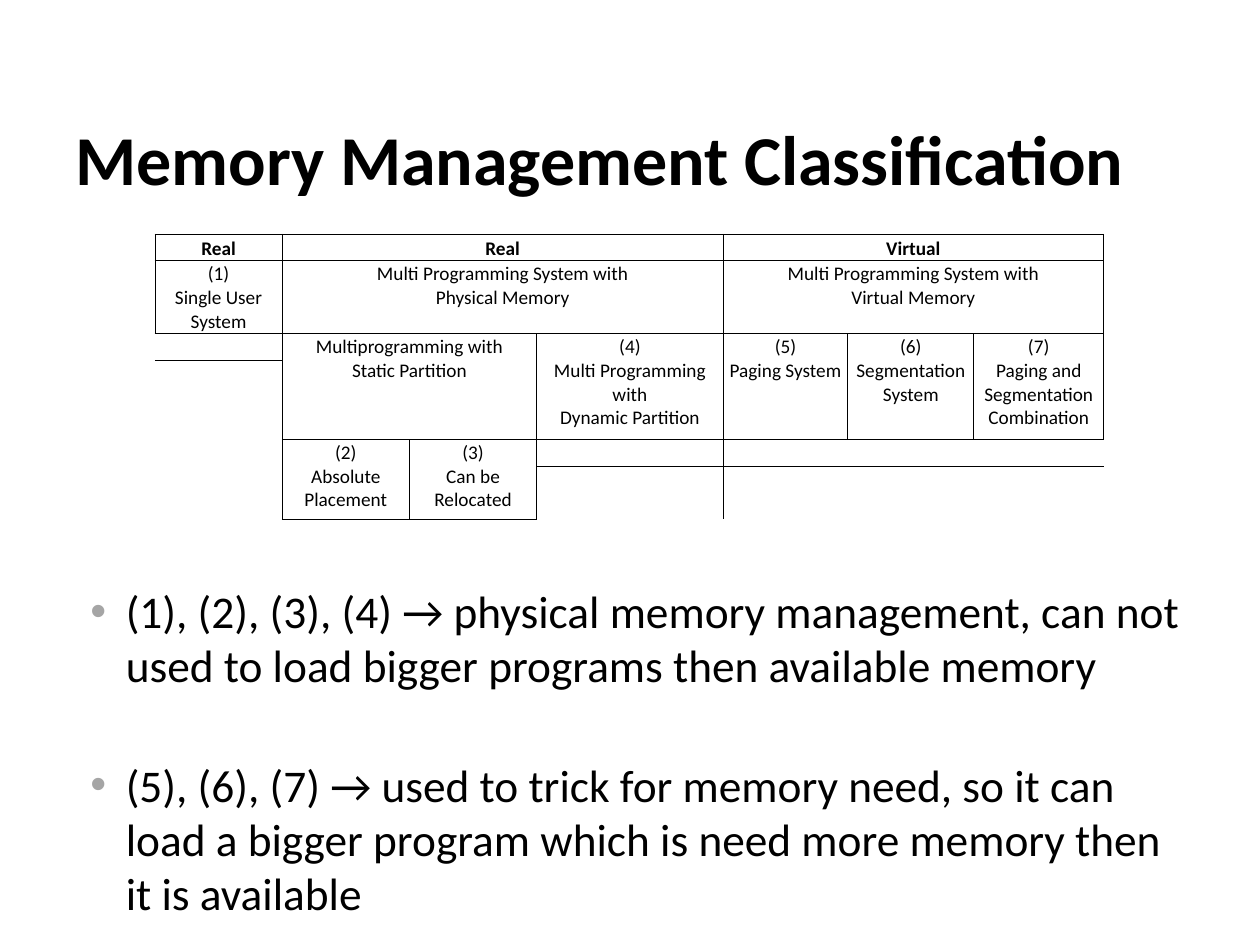
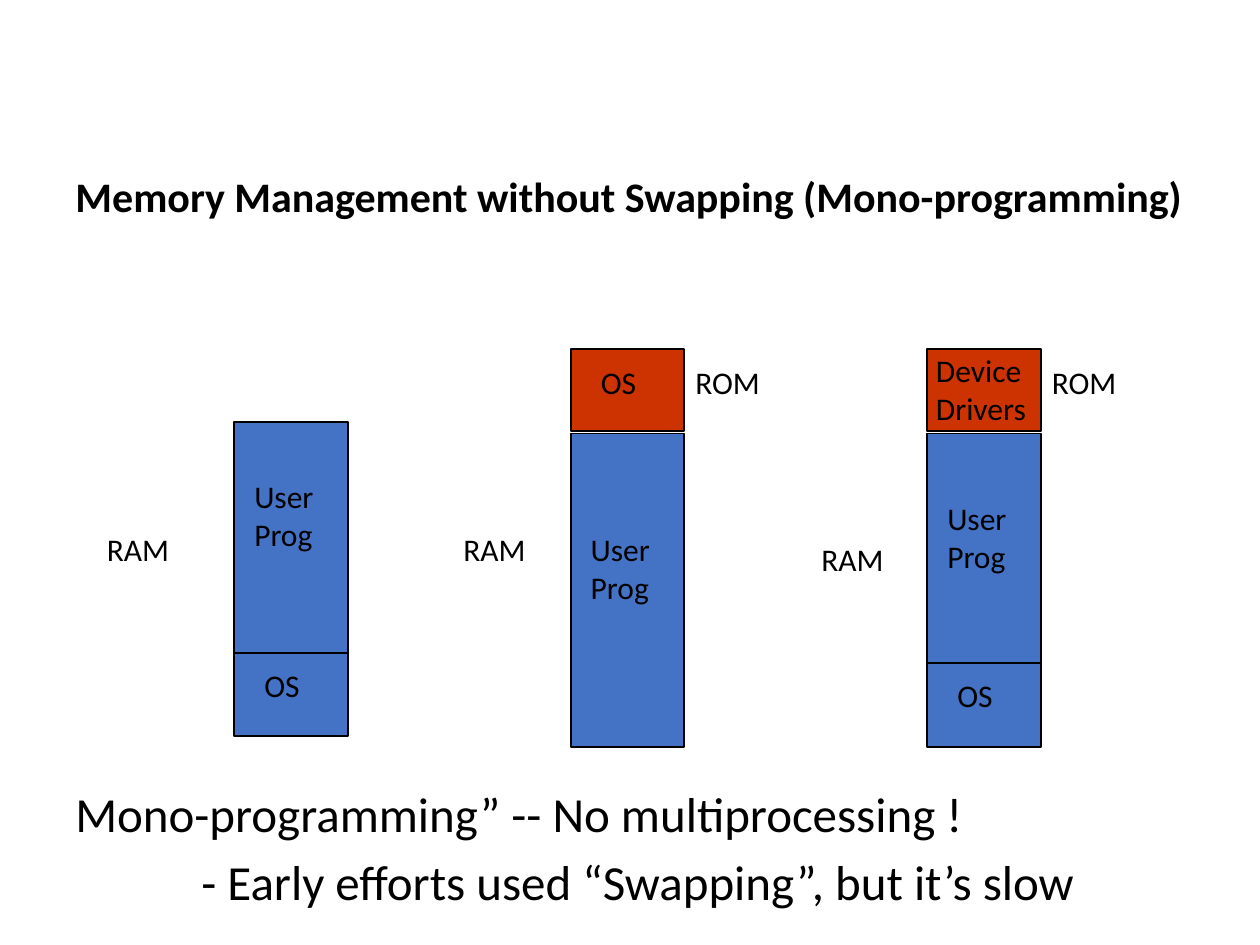
from pptx import Presentation
from pptx.dml.color import RGBColor
from pptx.enum.shapes import MSO_CONNECTOR, MSO_SHAPE
from pptx.enum.text import MSO_ANCHOR, PP_ALIGN
from pptx.oxml.ns import qn
from pptx.util import Inches, Pt
from lxml.etree import SubElement

INK, RAM_BLUE, ROM_RED, BULLET_GREY = "000000", "4472C4", "CC3300", "A5A5A5"
PLAIN_TABLE_STYLE = "{2D5ABB26-0587-4C30-8999-92F81FD0307C}"


def rgb(value):
    return RGBColor.from_string(value)


class Deck:
    """Holds the shared style and the slide being filled."""

    font = "Calibri"

    def __init__(self):
        self.prs = Presentation()
        self.prs.slide_width, self.prs.slide_height = Inches(10), Inches(7.5)
        self.slide = None

    def new_slide(self):
        self.slide = self.prs.slides.add_slide(self.prs.slide_layouts[6])

    def set_text(self, frame, text, size, bold=False, align=PP_ALIGN.LEFT):
        frame.text = text
        for paragraph in frame.paragraphs:
            paragraph.alignment = align
            for run in paragraph.runs:
                run.font.name, run.font.size, run.font.bold = self.font, Pt(size), bold
                run.font.color.rgb = rgb(INK)

    def text(self, left, top, width, height, text, size, bold=False):
        box = self.slide.shapes.add_textbox(*map(Inches, (left, top, width, height)))
        box.text_frame.word_wrap = True
        self.set_text(box.text_frame, text, size, bold)
        return box.text_frame

    def title(self, top, width, height, text, size):
        frame = self.text(0.5, top, width, height, text, size, bold=True)
        frame.vertical_anchor = MSO_ANCHOR.MIDDLE
        frame.paragraphs[0].line_spacing = 0.9

    def bullets(self, left, top, width, height, items, size, gap):
        frame = self.text(left, top, width, height, "\n".join(items), size)
        for paragraph in frame.paragraphs:
            paragraph.space_after = Pt(gap)
            props = paragraph._p.get_or_add_pPr()
            props.set("marL", str(Inches(0.4)))
            props.set("indent", str(Inches(-0.28)))
            colour = SubElement(props, qn("a:buClr"))
            SubElement(colour, qn("a:srgbClr")).set("val", BULLET_GREY)
            SubElement(props, qn("a:buFont")).set("typeface", "Arial")
            SubElement(props, qn("a:buChar")).set("char", "•")

    def block(self, left, top, width, height, fill):
        rect = self.slide.shapes.add_shape(
            MSO_SHAPE.RECTANGLE, *map(Inches, (left, top, width, height)))
        rect.shadow.inherit = False
        rect.fill.solid()
        rect.fill.fore_color.rgb = rgb(fill)
        rect.line.color.rgb = rgb(INK)
        rect.line.width = Pt(1)

    def divider(self, left, right, y):
        line = self.slide.shapes.add_connector(
            MSO_CONNECTOR.STRAIGHT, *map(Inches, (left, y, right, y)))
        line.line.color.rgb = rgb(INK)
        line.line.width = Pt(1)
        SubElement(line._element.spPr, qn("a:effectLst"))

    def cell_borders(self, cell, sides):
        props = cell._tc.get_or_add_tcPr()
        for side in sides:
            border = SubElement(props, qn("a:ln" + side))
            border.set("w", str(Pt(0.5)))
            fill = SubElement(border, qn("a:solidFill"))
            SubElement(fill, qn("a:srgbClr")).set("val", INK)

    def table(self, left, top, widths, heights, entries, size):
        """Entries are (row, column, row span, column span, text)."""
        shape = self.slide.shapes.add_table(
            len(heights), len(widths),
            *map(Inches, (left, top, sum(widths), sum(heights))))
        table = shape.table
        table.first_row = table.horz_banding = False
        table._tbl.tblPr.find(qn("a:tableStyleId")).text = PLAIN_TABLE_STYLE
        for column, width in zip(table.columns, widths):
            column.width = Inches(width)
        for row, height in zip(table.rows, heights):
            row.height = Inches(height)

        # Entries and the grid squares each one covers
        owner = {}
        for number, (row, col, rows, cols, text) in enumerate(entries):
            for r in range(row, row + rows):
                for c in range(col, col + cols):
                    owner[r, c] = number
            cell = table.cell(row, col)
            if rows * cols > 1:
                cell.merge(table.cell(row + rows - 1, col + cols - 1))
            self.set_text(cell.text_frame, text, size, row == 0, PP_ALIGN.CENTER)
            cell.vertical_anchor = MSO_ANCHOR.BOTTOM if row == 0 else MSO_ANCHOR.TOP

        # A border runs wherever two neighbours belong to different entries
        starts = {entry[:2] for entry in entries}
        steps = {"L": (0, -1), "R": (0, 1), "T": (-1, 0), "B": (1, 0)}
        for r in range(len(heights)):
            for c in range(len(widths)):
                cell = table.cell(r, c)
                cell.margin_left = cell.margin_right = cell.margin_top = Inches(0.01)
                cell.margin_bottom = 0
                self.cell_borders(cell, [
                    side for side, (dr, dc) in steps.items()
                    if (r, c) in starts or owner.get((r, c)) != owner.get((r + dr, c + dc))])
                cell.fill.background()
                if (r, c) not in starts:
                    end = SubElement(cell.text_frame.paragraphs[0]._p, qn("a:endParaRPr"))
                    end.set("sz", str(size * 100))

    def memory_map(self, left, top, ram_label, user_top, rom="", split=None):
        """One memory column; split is the depth at which the OS part begins."""
        width, height, rom_top, rom_height = 0.9, 2.49, 2.77, 0.65
        self.block(left, top, width, height, RAM_BLUE)
        if split:
            self.divider(left - 0.01, left + width + 0.01, top + split)
            self.text(left + 0.14, top + split + 0.06, 0.63, 0.5, "OS", 18)
        if rom:
            self.block(left, rom_top, width, rom_height, ROM_RED)
            if "\n" in rom:
                self.text(left - 0.03, rom_top - 0.03, 0.95, 0.7, rom, 18)
            else:
                self.text(left + 0.14, rom_top + 0.06, 0.63, 0.5, rom, 18)
            self.text(left + 0.89, rom_top + 0.06, 0.96, 0.5, "ROM", 18)
        self.text(*ram_label, 0.96, 0.5, "RAM", 18)
        self.text(left + 0.06, user_top, 0.83, 0.9, "User\nProg", 18)


def classification_slide(deck):
    deck.new_slide()
    deck.title(0.71, 9, 1.17, "Memory Management Classification", 40)
    deck.table(
        1.23, 1.86,
        widths=[1.01, 1.01, 1.01, 1.48, 0.99, 1, 1.03],
        heights=[0.21, 0.58] + [0.21] * 7,
        entries=[
            (0, 0, 1, 1, "Real"),
            (0, 1, 1, 3, "Real"),
            (0, 4, 1, 3, "Virtual"),
            (1, 0, 1, 1, "(1)\nSingle User System"),
            (1, 1, 1, 3, "Multi Programming System with\nPhysical Memory"),
            (1, 4, 1, 3, "Multi Programming System with\nVirtual Memory"),
            (2, 1, 4, 2, "Multiprogramming with\nStatic Partition"),
            (2, 3, 4, 1, "(4)\nMulti Programming with\nDynamic Partition"),
            (2, 4, 4, 1, "(5)\nPaging System"),
            (2, 5, 4, 1, "(6)\nSegmentation System"),
            (2, 6, 4, 1, "(7)\nPaging and Segmentation Combination"),
            (6, 1, 3, 1, "(2)\nAbsolute Placement"),
            (6, 2, 3, 1, "(3)\nCan be Relocated"),
        ],
        size=11)
    deck.bullets(0.5, 4.58, 9, 2.64, [
        "(1), (2), (3), (4) → physical memory management, can not used to load "
        "bigger programs then available memory",
        "(5), (6), (7) → used to trick for memory need, so it can load a bigger "
        "program which is need more memory then it is available",
    ], size=25.9, gap=37)


def mono_programming_slide(deck):
    deck.new_slide()
    deck.title(1.13, 9.21, 0.89,
               "Memory Management without Swapping (Mono-programming)", 24)

    # Three ways to share memory between the OS and one program
    deck.memory_map(1.86, 3.35, (0.75, 4.16), 3.74, split=1.83)
    deck.memory_map(4.53, 3.44, (3.58, 4.16), 4.16, rom="OS")
    deck.memory_map(7.36, 3.44, (6.42, 4.24), 3.91, rom="Device\nDrivers", split=1.82)

    # Closing remark
    remark = deck.text(0.5, 6.17, 9.21, 1.14,
                       "Mono-programming” -- No multiprocessing !\n"
                       "- Early efforts used “Swapping”, but it’s slow", 28)
    for paragraph in remark.paragraphs:
        paragraph.space_before = Pt(5)
    remark.paragraphs[1]._p.get_or_add_pPr().set("marL", str(Inches(1)))


def main():
    deck = Deck()
    classification_slide(deck)
    mono_programming_slide(deck)
    deck.prs.save("out.pptx")


if __name__ == "__main__":
    main()
